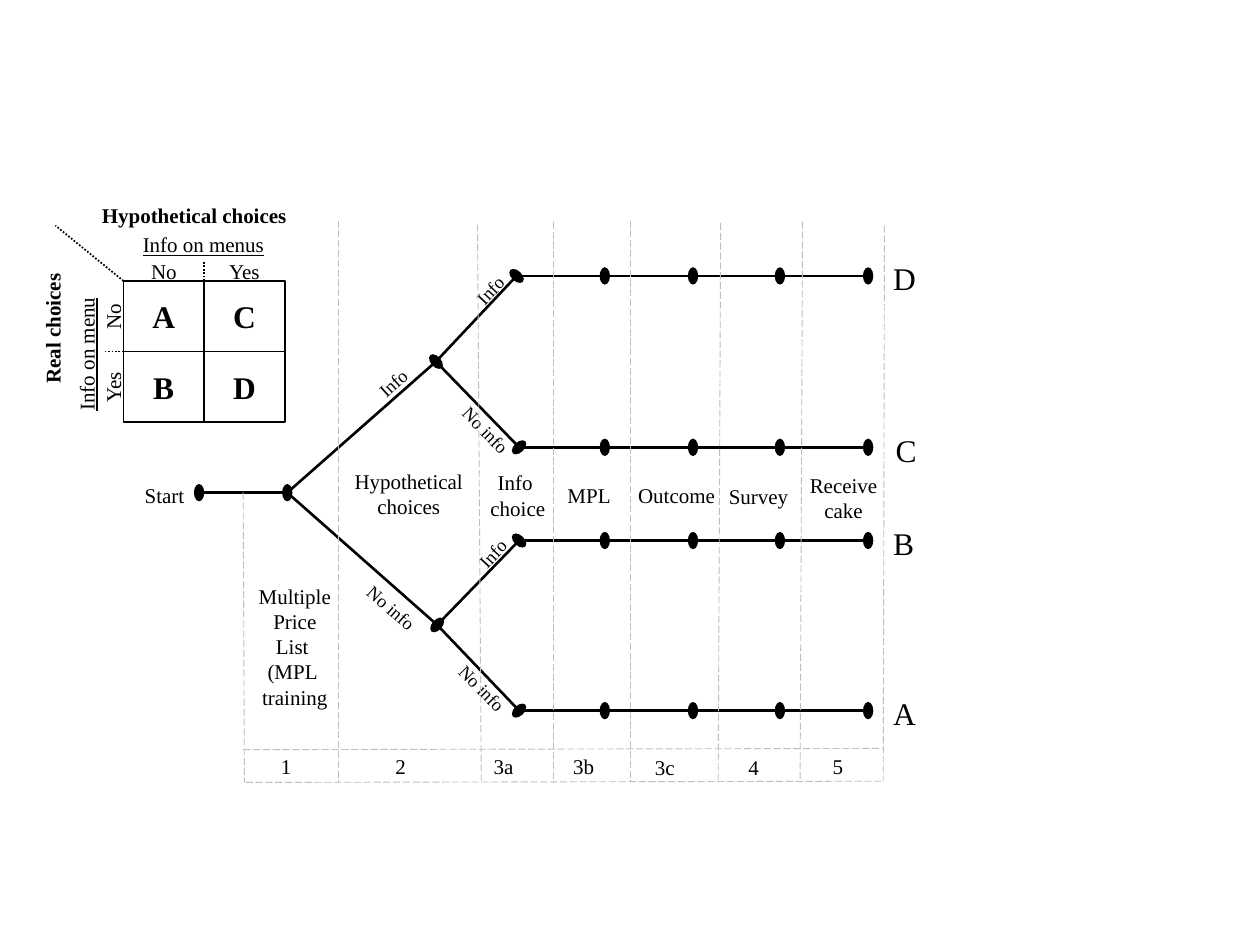
import itertools

import lxml.etree
import pptx
import pptx.dml.color
import pptx.enum.dml
import pptx.enum.shapes
import pptx.enum.text
import pptx.oxml.ns
import pptx.util

Inches = pptx.util.Inches
BLACK, GRAY, WHITE = "000000", "BFBFBF", "FFFFFF"
DASH = pptx.enum.dml.MSO_LINE.LONG_DASH
DOT = pptx.enum.dml.MSO_LINE.ROUND_DOT
CENTER = pptx.enum.text.PP_ALIGN.CENTER
LEFT = pptx.enum.text.PP_ALIGN.LEFT


def color(hex_code):
    return pptx.dml.color.RGBColor.from_string(hex_code)


def add_child(parent, tag, **attributes):
    return lxml.etree.SubElement(parent, pptx.oxml.ns.qn(tag), attributes)


def add_line(slide, start, end, hex_code=BLACK, width=1, dash=None, ovals=()):
    """Draw a straight line; ovals lists the ends (headEnd, tailEnd) that get a node."""
    points = [Inches(value) for value in (*start, *end)]
    line = slide.shapes.add_connector(pptx.enum.shapes.MSO_CONNECTOR.STRAIGHT, *points)
    line.line.color.rgb = color(hex_code)
    line.line.width = pptx.util.Pt(width)
    if dash:
        line.line.dash_style = dash
    for end_name in ovals:
        add_child(line.line._get_or_add_ln(), f"a:{end_name}", type="oval", w="lg", len="med")
    add_child(line._element.spPr, "a:effectLst")


def add_branch(slide, start, end, ovals=("tailEnd",)):
    add_line(slide, start, end, width=1.5, ovals=ovals)


def write_lines(text_frame, lines, size, align, bold=False, underline=False):
    for index, line in enumerate(lines):
        paragraph = text_frame.paragraphs[0] if index == 0 else text_frame.add_paragraph()
        paragraph.alignment = align
        run = paragraph.add_run()
        run.text = line
        run.font.name = "Times New Roman"
        run.font.size = pptx.util.Pt(size)
        run.font.color.rgb = color(BLACK)
        run.font.bold = bold
        run.font.underline = underline


def add_label(slide, text, left, top, width, height=0.3, size=12, align=LEFT,
              rotation=0, bold=False, underline=False):
    box = slide.shapes.add_textbox(Inches(left), Inches(top), Inches(width), Inches(height))
    box.rotation = rotation
    box.text_frame.word_wrap = False
    box.text_frame.auto_size = pptx.enum.text.MSO_AUTO_SIZE.SHAPE_TO_FIT_TEXT
    write_lines(box.text_frame, text.split("\n"), size, align, bold, underline)


def add_cell(slide, letter, left, top, width, height):
    cell = slide.shapes.add_shape(pptx.enum.shapes.MSO_SHAPE.RECTANGLE, Inches(left),
                                  Inches(top), Inches(width), Inches(height))
    cell.shadow.inherit = False
    cell.fill.solid()
    cell.fill.fore_color.rgb = color(WHITE)
    cell.line.color.rgb = color(BLACK)
    cell.line.width = pptx.util.Pt(1)
    cell.text_frame.vertical_anchor = pptx.enum.text.MSO_ANCHOR.MIDDLE
    write_lines(cell.text_frame, [letter], 18, CENTER, bold=True)


def add_decision_tree(slide):
    root, info, no_info = (2.28, 3.91), (3.46, 2.87), (3.47, 4.96)
    add_branch(slide, (1.58, 3.91), root, ovals=("headEnd", "tailEnd"))
    add_label(slide, "Start", 1.05, 3.78, 0.52)
    for start, end in (
        (root, info), (root, no_info),
        (info, (4.1, 2.19)), (info, (4.12, 3.55)),
        (no_info, (4.12, 4.29)), (no_info, (4.12, 5.64)),
    ):
        add_branch(slide, start, end)

    node_columns = (4.1, 4.8, 5.5, 6.19, 6.89)
    for letter, y, letter_left in (("D", 2.19, 6.99), ("C", 3.55, 7.01),
                                   ("B", 4.29, 6.99), ("A", 5.64, 6.99)):
        for left, right in itertools.pairwise(node_columns):
            add_branch(slide, (left, y), (right, y))
        add_label(slide, letter, letter_left, y - 0.18, 0.38, 0.4, size=18)

    for text, left, top, width, rotation in (
        ("Info", 2.9, 2.9, 0.45, 317.8), ("No info", 2.78, 4.69, 0.66, 41.4),
        ("Info", 3.67, 2.16, 0.45, 313.3), ("No info", 3.53, 3.28, 0.66, 45.8),
        ("Info", 3.69, 4.25, 0.45, 313), ("No info", 3.5, 5.33, 0.66, 45.8),
    ):
        add_label(slide, text, left, top, width, 0.28, size=10.5, rotation=rotation)


def add_stages(slide):
    for start, end in (
        ((1.93, 3.91), (1.94, 6.21)), ((2.69, 1.75), (2.69, 6.21)),
        ((3.79, 1.78), (3.82, 6.21)), ((4.39, 1.76), (4.39, 6.21)),
        ((5, 1.75), (5, 6.21)), ((5.72, 1.77), (5.7, 6.2)),
        ((6.37, 1.76), (6.35, 6.21)), ((7.02, 1.79), (7.01, 6.2)),
        ((1.93, 5.95), (7, 5.94)), ((1.95, 6.21), (7.01, 6.2)),
    ):
        add_line(slide, start, end, GRAY, 0.5, DASH)

    for text, left, top, width, height in (
        ("Multiple\nPrice\nList \n(MPL \ntraining", 1.95, 4.58, 0.78, 1.11),
        ("Hypothetical\nchoices", 2.71, 3.67, 1.07, 0.5),
        ("Info \nchoice", 3.79, 3.68, 0.64, 0.5),
        ("MPL", 4.4, 3.78, 0.55, 0.3),
        ("Outcome", 4.96, 3.78, 0.82, 0.3),
        ("Survey", 5.68, 3.79, 0.68, 0.3),
        ("Receive\ncake", 6.32, 3.7, 0.75, 0.5),
    ):
        add_label(slide, text, left, top, width, height, align=CENTER)

    for number, left, top, width in (
        ("1", 2.13, 5.93, 0.29), ("2", 3.04, 5.93, 0.29), ("3a", 3.82, 5.93, 0.36),
        ("3b", 4.45, 5.93, 0.37), ("3c", 5.1, 5.94, 0.36), ("4", 5.84, 5.94, 0.29),
        ("5", 6.51, 5.93, 0.29),
    ):
        add_label(slide, number, left, top, width)


def add_treatment_matrix(slide):
    left, top, width, height = 0.98, 2.23, 0.64, 0.56
    for row, letters in enumerate(("AC", "BD")):
        for column, letter in enumerate(letters):
            add_cell(slide, letter, left + column * width, top + row * height, width, height)

    add_line(slide, (left + width, top), (left + width, 2.07), dash=DOT)
    add_line(slide, (0.83, top + height), (left, top + height), dash=DOT)
    add_line(slide, (left, top), (0.44, 1.79), dash=DOT)

    add_label(slide, "Hypothetical choices", 0.71, 1.56, 1.69, bold=True)
    add_label(slide, "Info on menus", 1.03, 1.79, 1.17, align=CENTER, underline=True)
    add_label(slide, "No", 1.1, 2, 0.41)
    add_label(slide, "Yes", 1.72, 2, 0.45)
    add_label(slide, "Real choices", -0.13, 2.45, 1.09, rotation=270, bold=True)
    add_label(slide, "Info on menu", 0.13, 2.66, 1.11, align=CENTER, rotation=270, underline=True)
    add_label(slide, "No", 0.69, 2.36, 0.41, rotation=270)
    add_label(slide, "Yes", 0.67, 2.92, 0.45, rotation=270)


def main():
    presentation = pptx.Presentation()
    presentation.slide_width = Inches(10)
    presentation.slide_height = Inches(7.5)
    slide = presentation.slides.add_slide(presentation.slide_layouts[6])
    add_decision_tree(slide)
    add_stages(slide)
    add_treatment_matrix(slide)
    presentation.save("out.pptx")


if __name__ == "__main__":
    main()
